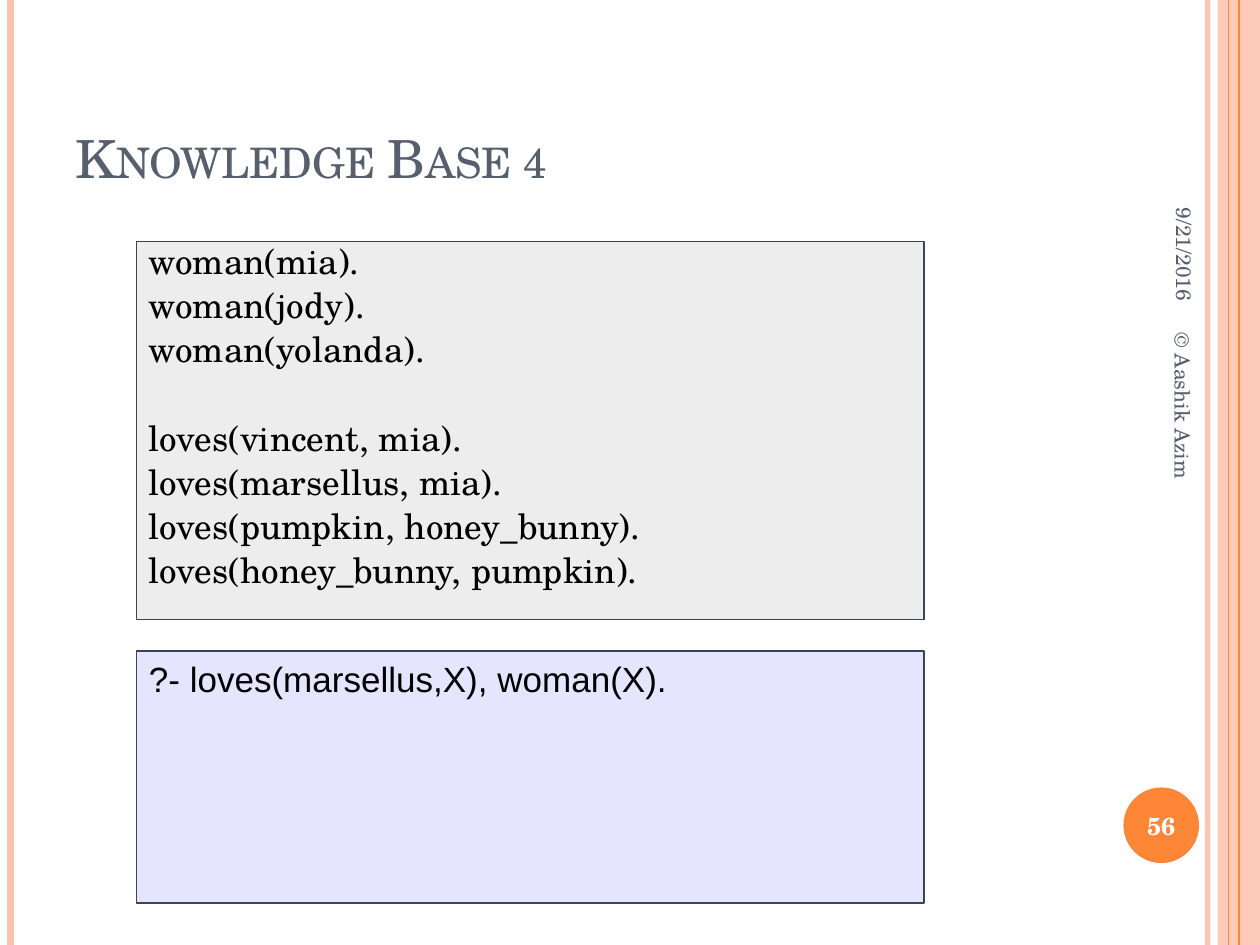
"""Build the Knowledge Base 4 slide with its facts, query and side decoration."""
import pptx
import pptx.dml.color
import pptx.enum.shapes
import pptx.enum.text
import pptx.oxml.ns
import pptx.util
from lxml import etree

Pt = pptx.util.Pt
RGBColor = pptx.dml.color.RGBColor
Shape = pptx.enum.shapes.MSO_SHAPE
Anchor = pptx.enum.text.MSO_ANCHOR
Align = pptx.enum.text.PP_ALIGN
qn = pptx.oxml.ns.qn

PEACH = RGBColor(0xFE, 0xC3, 0xAE)
ORANGE = RGBColor(0xFE, 0x86, 0x37)
SLATE = RGBColor(0x57, 0x5F, 0x6D)
NAVY = RGBColor(0x3B, 0x43, 0x5B)
GREY = RGBColor(0xDD, 0xDD, 0xDD)
LAVENDER = RGBColor(0xCC, 0xCC, 0xFF)
BLACK = RGBColor(0, 0, 0)
WHITE = RGBColor(0xFF, 0xFF, 0xFF)
SERIF = "TeX Gyre Schola"


def set_opacity(shape, percent):
    color = next(shape._element.spPr.iter(qn("a:srgbClr")))
    etree.SubElement(color, qn("a:alpha")).set("val", str(percent * 1000))


def style_text(paragraph, size, color, alignment=Align.LEFT, name=SERIF, bold=False):
    paragraph.alignment = alignment
    paragraph.font.name = name
    paragraph.font.size = Pt(size)
    paragraph.font.bold = bold
    paragraph.font.color.rgb = color


presentation = pptx.Presentation()
presentation.slide_width, presentation.slide_height = Pt(720), Pt(540)
slide = presentation.slides.add_slide(presentation.slide_layouts[5])
shapes = slide.shapes

band = shapes.add_shape(Shape.RECTANGLE, Pt(696), Pt(0), Pt(24), Pt(540))
band.shadow.inherit = False
band.fill.solid()
band.fill.fore_color.rgb = PEACH
band.line.fill.background()
set_opacity(band, 87)

for x, color, width, opacity in [
    (690, PEACH, 3, 93),
    (6, PEACH, 4.5, 100),
    (708, ORANGE, 1.5, 100),
    (702, ORANGE, 0.75, 100),
]:
    stripe = shapes.add_connector(
        pptx.enum.shapes.MSO_CONNECTOR.STRAIGHT, Pt(x), Pt(0), Pt(x), Pt(540)
    )
    stripe.line.color.rgb = color
    stripe.line.width = Pt(width)
    if opacity < 100:
        set_opacity(stripe, opacity)
    etree.SubElement(stripe._element.spPr, qn("a:effectLst"))

title = shapes.title
title.left, title.top, title.width, title.height = Pt(36), Pt(21.6), Pt(588), Pt(90)
title.text_frame.text = "Knowledge Base 4"
title.text_frame.auto_size = pptx.enum.text.MSO_AUTO_SIZE.NONE
title.text_frame.vertical_anchor = Anchor.BOTTOM
style_text(title.text_frame.paragraphs[0], 30, SLATE)
title.text_frame.paragraphs[0].runs[0]._r.get_or_add_rPr().set("cap", "small")

facts = [
    "woman(mia).",
    "woman(jody).",
    "woman(yolanda).",
    "loves(vincent, mia).",
    "loves(marsellus, mia).",
    "loves(pumpkin, honey_bunny).",
    "loves(honey_bunny, pumpkin).",
]
query = ["?- loves(marsellus,X), woman(X)."]
for top, height, fill, name, lines in [
    (138, 216, GREY, SERIF, facts),
    (372, 144, LAVENDER, "Arial", query),
]:
    panel = shapes.add_shape(Shape.RECTANGLE, Pt(78), Pt(top), Pt(450), Pt(height))
    panel.shadow.inherit = False
    panel.fill.solid()
    panel.fill.fore_color.rgb = fill
    set_opacity(panel, 50)
    panel.line.color.rgb = NAVY
    panel.line.width = Pt(0.75)
    panel.text_frame.vertical_anchor = Anchor.TOP
    panel.text_frame.text = "\n".join(lines)
    for index, paragraph in enumerate(panel.text_frame.paragraphs):
        if lines is facts:
            paragraph.line_spacing = 0.8
            if index:
                paragraph.space_before = Pt(31.2 if index == 3 else 6)
        style_text(paragraph, 20, BLACK, name=name)

for left, top, width, height, text, alignment in [
    (597.6, 85, 158.4, 30, "9/21/2016", Align.RIGHT),
    (550, 294.5, 252, 28.8, "© Aashik Azim", Align.LEFT),
]:
    side_note = shapes.add_textbox(Pt(left), Pt(top), Pt(width), Pt(height))
    side_note.rotation = 90
    side_note.text_frame.word_wrap = True
    side_note.text_frame.vertical_anchor = Anchor.MIDDLE
    side_note.text_frame.text = text
    style_text(side_note.text_frame.paragraphs[0], 12, SLATE, alignment)

page_badge = shapes.add_shape(Shape.OVAL, Pt(642), Pt(450), Pt(43.2), Pt(43.2))
page_badge.shadow.inherit = False
page_badge.fill.solid()
page_badge.fill.fore_color.rgb = ORANGE
page_badge.line.fill.background()
badge_text = page_badge.text_frame
badge_text.margin_left = badge_text.margin_right = Pt(0)
badge_text.vertical_anchor = Anchor.MIDDLE
badge_text.text = "56"
style_text(badge_text.paragraphs[0], 14, WHITE, Align.CENTER, bold=True)

presentation.save("out.pptx")
